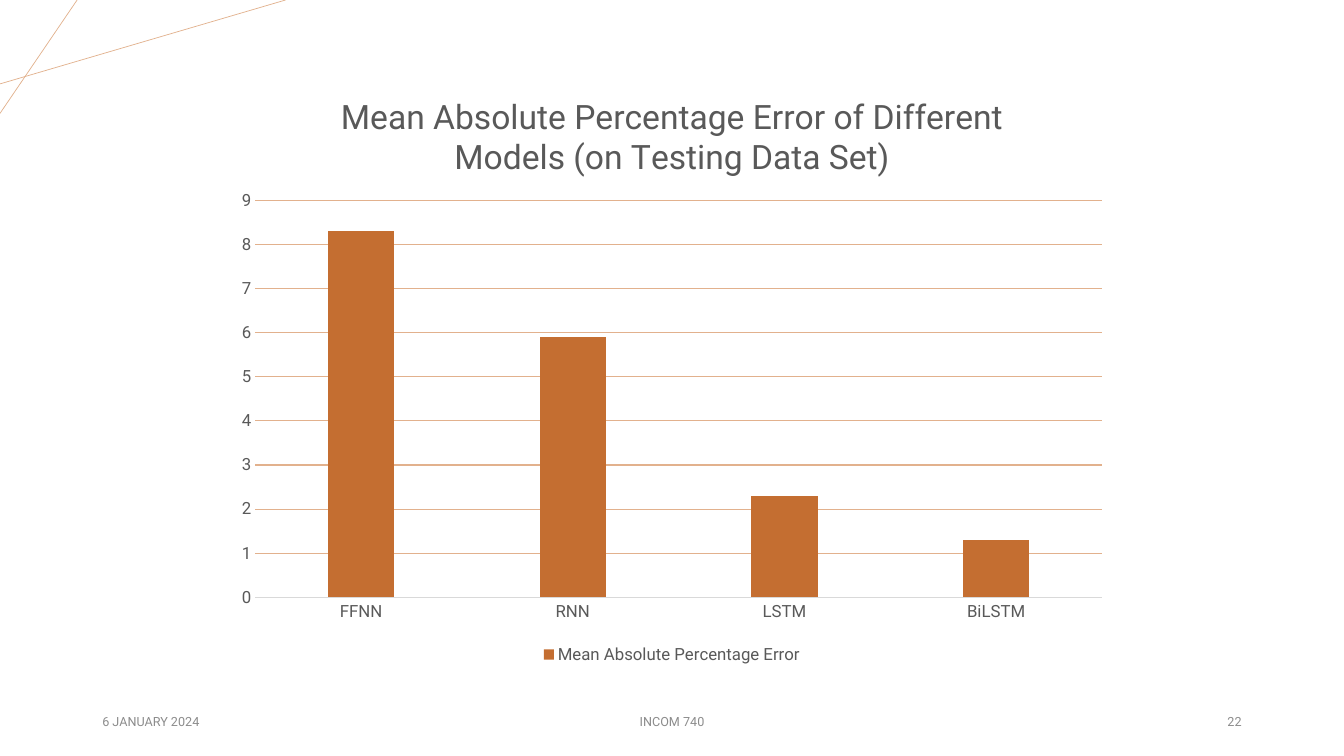
import pptx
import pptx.chart.data
import pptx.dml.color
import pptx.enum.chart
import pptx.enum.shapes
import pptx.enum.text
import pptx.oxml
import pptx.oxml.ns
import pptx.util
from lxml import etree

Pt = pptx.util.Pt
ALIGN = pptx.enum.text.PP_ALIGN
COLORS = {
    "background": "FFFFFF",
    "bar": "C46E31",
    "accent_line": "E2B18D",
    "axis_line": "D9D9D9",
    "chart_text": "595959",
    "footer": "8C8C8C",
}
FONT = "Roboto"
ERRORS = {"FFNN": 8.3, "RNN": 5.9, "LSTM": 2.3, "BiLSTM": 1.3}
PLOT_AREA = {"x": 0.035, "y": 0.217, "w": 0.945, "h": 0.664}


def rgb(name):
    """Return the palette colour of that name."""
    return pptx.dml.color.RGBColor.from_string(COLORS[name])


def apply_format(target, values):
    """Set each attribute in values on the target."""
    for attribute, value in values.items():
        setattr(target, attribute, value)


def format_font(font, size, color):
    """Give a font the slide's typeface, a size and a colour."""
    apply_format(font, {"name": FONT, "size": Pt(size), "bold": False})
    font.color.rgb = rgb(color)


def format_line(line, color, width):
    """Give a line its colour and width."""
    line.color.rgb = rgb(color)
    line.width = Pt(width)


def add_corner_lines(slide, left, top, width, height):
    """Draw the two crossing lines in the corner box."""
    ends = [
        (left, top + 0.74 * height, left + width, top),
        (left + 0.27 * width, top, left, top + height),
    ]
    for x1, y1, x2, y2 in ends:
        corner_line = slide.shapes.add_connector(
            pptx.enum.shapes.MSO_CONNECTOR.STRAIGHT, Pt(x1), Pt(y1), Pt(x2), Pt(y2)
        )
        format_line(corner_line.line, "accent_line", 0.5)
        etree.SubElement(corner_line._element.spPr, pptx.oxml.ns.qn("a:effectLst"))


def set_plot_layout(chart):
    """Fix the inner plot area as fractions of the chart."""
    fractions = "".join(f'<c:{key} val="{value}"/>' for key, value in PLOT_AREA.items())
    layout = pptx.oxml.parse_xml(
        f'<c:layout {pptx.oxml.ns.nsdecls("c")}><c:manualLayout>'
        '<c:layoutTarget val="inner"/><c:xMode val="edge"/><c:yMode val="edge"/>'
        f"{fractions}</c:manualLayout></c:layout>"
    )
    plot_area = chart._chartSpace.chart.plotArea
    for automatic in plot_area.findall(pptx.oxml.ns.qn("c:layout")):
        plot_area.remove(automatic)
    plot_area.insert(0, layout)


def add_error_chart(slide, left, top, width, height):
    """Place the column chart of model errors in the box."""
    error_data = pptx.chart.data.CategoryChartData()
    error_data.categories = list(ERRORS)
    error_data.add_series("Mean Absolute Percentage Error", list(ERRORS.values()))
    chart = slide.shapes.add_chart(
        pptx.enum.chart.XL_CHART_TYPE.COLUMN_CLUSTERED,
        Pt(left), Pt(top), Pt(width), Pt(height), error_data,
    ).chart
    format_font(chart.font, 12, "chart_text")

    chart.has_title = True
    heading = chart.chart_title.text_frame
    heading.text = "Mean Absolute Percentage Error of Different Models (on Testing Data Set)"
    format_font(heading.paragraphs[0].runs[0].font, 24, "chart_text")

    chart.has_legend = True
    apply_format(chart.legend, {
        "position": pptx.enum.chart.XL_LEGEND_POSITION.BOTTOM,
        "include_in_layout": False,
    })
    format_font(chart.legend.font, 12, "chart_text")

    models, errors = chart.category_axis, chart.value_axis
    for axis in (models, errors):
        apply_format(axis, {
            "major_tick_mark": pptx.enum.chart.XL_TICK_MARK.NONE,
            "minor_tick_mark": pptx.enum.chart.XL_TICK_MARK.NONE,
        })
        format_font(axis.tick_labels.font, 12, "chart_text")
    format_line(models.format.line, "axis_line", 0.75)
    errors.format.line.fill.background()
    apply_format(errors, {
        "minimum_scale": 0, "maximum_scale": 9, "major_unit": 1,
        "has_major_gridlines": True,
    })
    apply_format(errors.tick_labels, {"number_format": "0", "number_format_is_linked": False})
    format_line(errors.major_gridlines.format.line, "accent_line", 0.75)

    columns = chart.plots[0]
    apply_format(columns, {"gap_width": 219, "overlap": -27, "vary_by_categories": False})
    bars = columns.series[0].format.fill
    bars.solid()
    bars.fore_color.rgb = rgb("bar")
    set_plot_layout(chart)


def add_footer(slide, left, top, width, height):
    """Place date, course and page number across the box."""
    side, middle = 216, 324
    entries = [
        ("6 JANUARY 2024", left, side, ALIGN.LEFT),
        ("INCOM 740", left + (width - middle) / 2, middle, ALIGN.CENTER),
        ("22", left + width - side, side, ALIGN.RIGHT),
    ]
    for text, x, entry_width, alignment in entries:
        entry = slide.shapes.add_textbox(Pt(x), Pt(top), Pt(entry_width), Pt(height)).text_frame
        apply_format(entry, {
            "word_wrap": True, "vertical_anchor": pptx.enum.text.MSO_ANCHOR.MIDDLE, "text": text,
        })
        entry.paragraphs[0].alignment = alignment
        format_font(entry.paragraphs[0].runs[0].font, 9, "footer")


def main():
    """Build the slide and save it."""
    deck = pptx.Presentation()
    apply_format(deck, {"slide_width": Pt(960), "slide_height": Pt(540)})
    slide = deck.slides.add_slide(deck.slide_layouts[6])
    slide.background.fill.solid()
    slide.background.fill.fore_color.rgb = rgb("background")
    add_corner_lines(slide, 0, 0, 204, 81)
    add_error_chart(slide, 160, 50.5, 640, 427)
    add_footer(slide, 66, 500.5, 828, 29)
    deck.save("out.pptx")


if __name__ == "__main__":
    main()
